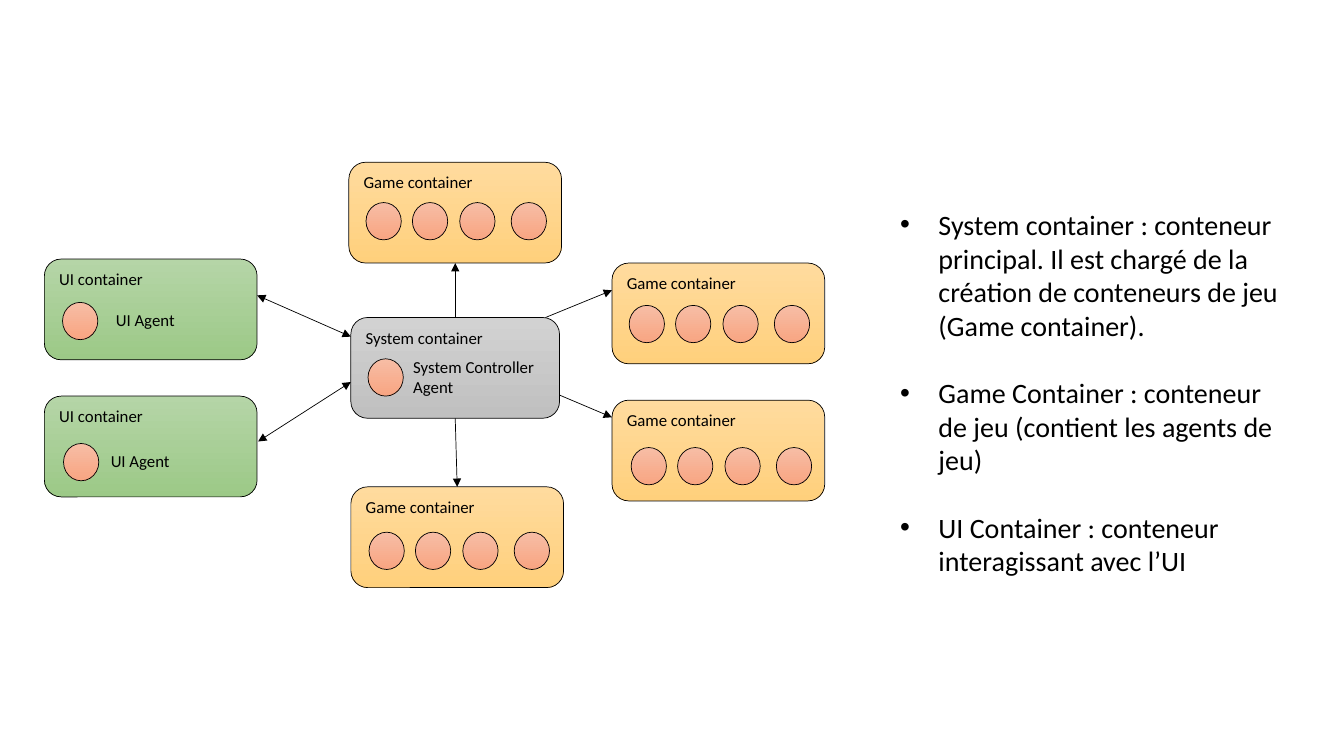
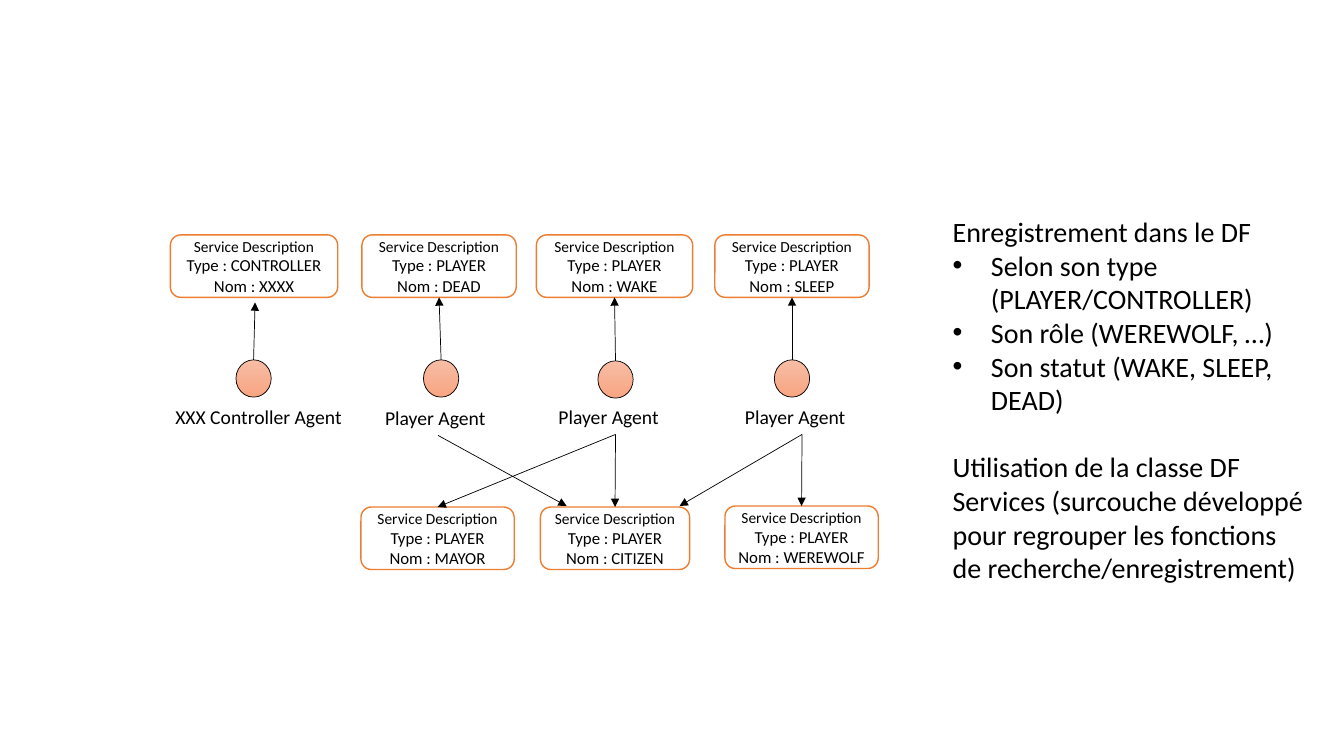
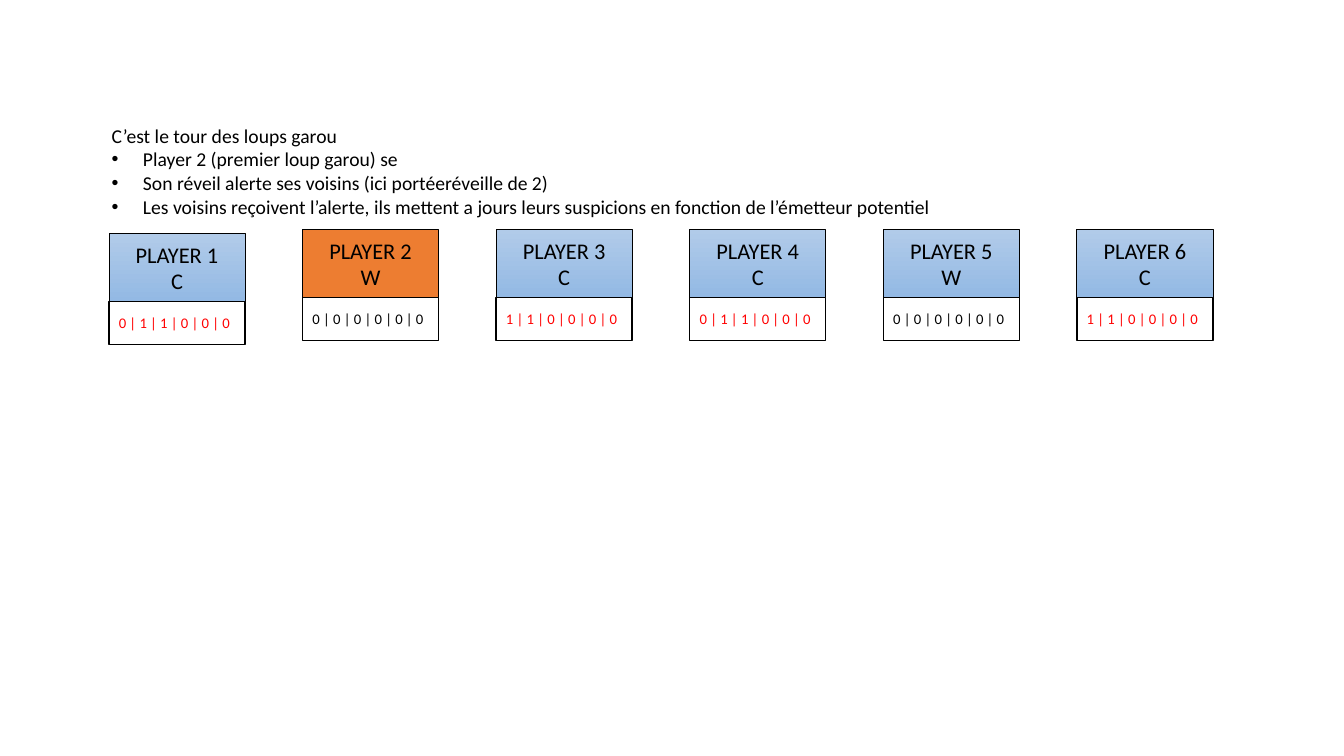
from lxml.etree import SubElement
from pptx import Presentation
from pptx.dml.color import RGBColor
from pptx.enum.shapes import MSO_CONNECTOR as Connector, MSO_SHAPE as Shape
from pptx.enum.text import MSO_ANCHOR as Anchor, PP_ALIGN as Align
from pptx.oxml.ns import qn
from pptx.util import Pt

EMU_PER_PX = 9144  # 100 px to the inch
FONT = "Calibri"
COLOURS = {
    "black": "000000",
    "white": "FFFFFF",
    "red": "FF0000",
    "orange": "ED7D31",
    "agent_top": "F7BDA5", "agent_bottom": "F8A582",
    "game_top": "FFDB9E", "game_bottom": "FFD07C",
    "system_top": "D2D2D2", "system_bottom": "C0C0C0",
    "interface_top": "B5D5A7", "interface_bottom": "9CC987",
    "player_top": "B1CBE9", "player_bottom": "93B9E4",
}
TOP, BOTTOM = 0, 2


def px(length):
    return round(length * EMU_PER_PX)


def colour(name):
    return RGBColor.from_string(COLOURS[name])


class Deck:
    def __init__(self, width, height):
        self.presentation = Presentation()
        self.presentation.slide_width = px(width)
        self.presentation.slide_height = px(height)
        self.slide = None

    def new_slide(self):
        self.slide = self.presentation.slides.add_slide(self.presentation.slide_layouts[6])

    def add_text_run(self, paragraph, text, size, text_colour="black"):
        run = paragraph.add_run()
        run.text = text
        run.font.name = FONT
        run.font.size = Pt(size)
        run.font.color.rgb = colour(text_colour)

    def fill(self, shape, name):
        """Fill with a plain colour, or with the top-to-bottom gradient of that name."""
        if name in COLOURS:
            shape.fill.solid()
            shape.fill.fore_color.rgb = colour(name)
            return
        shape.fill.gradient()
        shape.fill.gradient_angle = 270
        for stop, end in zip(shape.fill.gradient_stops, ("top", "bottom")):
            stop.color.rgb = colour(f"{name}_{end}")

    def box(self, kind, x, y, width, height, fill, lines=(), outline="black", weight=0.5,
            align=Align.LEFT, anchor=Anchor.MIDDLE, text_colour="black"):
        """Draw a preset shape; lines holds (text, size) for each paragraph."""
        shape = self.slide.shapes.add_shape(kind, px(x), px(y), px(width), px(height))
        shape.shadow.inherit = False
        self.fill(shape, fill)
        shape.line.color.rgb = colour(outline)
        shape.line.width = Pt(weight)
        frame = shape.text_frame
        frame.vertical_anchor = anchor
        if align == Align.CENTER:
            frame.margin_left = frame.margin_right = px(4)
        for index, (text, size) in enumerate(lines):
            paragraph = frame.add_paragraph() if index else frame.paragraphs[0]
            paragraph.alignment = align
            self.add_text_run(paragraph, text, size, text_colour)
        return shape

    def container(self, x, y, title, fill, width=211):
        return self.box(Shape.ROUNDED_RECTANGLE, x, y, width, 100, fill, [(title, 12)],
                        anchor=Anchor.TOP)

    def agent(self, x, y):
        return self.box(Shape.OVAL, x, y, 35, 37, "agent")

    def service(self, x, y, width, kind, name):
        lines = [("Service Description", 11), (f"Type : {kind}", 12), (f"Nom : {name}", 12)]
        return self.box(Shape.ROUNDED_RECTANGLE, x, y, width, 62, "white", lines,
                        outline="orange", weight=1, align=Align.CENTER)

    def text(self, x, y, width, height, size, lines, indent=0):
        """Draw a text box; lines holds (text, bulleted, space before in points)."""
        shape = self.slide.shapes.add_textbox(px(x), px(y), px(width), px(height))
        frame = shape.text_frame
        frame.word_wrap = True
        for index, (text, bulleted, gap) in enumerate(lines):
            paragraph = frame.add_paragraph() if index else frame.paragraphs[0]
            paragraph.space_before = Pt(gap)
            self.add_text_run(paragraph, text, size)
            if bulleted:
                properties = paragraph._p.get_or_add_pPr()
                properties.set("marL", str(px(indent)))
                properties.set("indent", str(px(-indent)))
                SubElement(properties, qn("a:buFont")).set("typeface", "Arial")
                SubElement(properties, qn("a:buChar")).set("char", "•")
        return shape

    def label(self, x, y, width, height, size, text):
        return self.text(x, y, width, height, size, [(text, False, 0)])

    def arrow(self, start, end, both_ways=False):
        """Draw an arrow; each end is an (x, y) point or a (shape, side) to join."""
        joins = [not isinstance(point[0], int) for point in (start, end)]
        corners = [0 if joined else px(value)
                   for joined, point in zip(joins, (start, end)) for value in point]
        connector = self.slide.shapes.add_connector(Connector.STRAIGHT, *corners)
        if joins[0]:
            connector.begin_connect(*start)
        if joins[1]:
            connector.end_connect(*end)
        connector.line.color.rgb = colour("black")
        connector.line.width = Pt(0.5)
        properties = connector.element.spPr
        line = properties.find(qn("a:ln"))
        for tag in ("a:headEnd", "a:tailEnd") if both_ways else ("a:tailEnd",):
            SubElement(line, qn(tag)).set("type", "triangle")
        SubElement(properties, qn("a:effectLst"))


def add_containers(deck):
    deck.new_slide()
    system = deck.container(348, 315, "System container", "system", width=207)
    deck.agent(365, 356)
    deck.label(400, 349, 141, 50, 12, "System Controller Agent")

    games = []
    for x, y, agent_x, agent_y in ((346, 161, 363, 201), (607, 261, 624, 303),
                                   (607, 397, 626, 444), (348, 483, 366, 528)):
        games.append(deck.container(x, y, "Game container", "game"))
        for offset in (0, 46, 93, 144):
            deck.agent(agent_x + offset, agent_y)

    for y, agent_x, agent_y, label_x in ((257, 62, 300, 105), (393, 63, 440, 100)):
        deck.container(44, y, "UI container", "interface")
        deck.agent(agent_x, agent_y)
        deck.label(label_x, agent_y + 2, 141, 30, 12, "UI Agent")

    deck.arrow((system, TOP), (games[0], BOTTOM))
    deck.arrow((541, 315), (607, 288))
    deck.arrow((555, 392), (607, 414))
    deck.arrow((system, BOTTOM), (games[3], TOP))
    deck.arrow((348, 334), (255, 293), both_ways=True)
    deck.arrow((348, 379), (256, 438), both_ways=True)

    deck.text(883, 201, 406, 380, 20, [
        ("System container : conteneur principal. Il est chargé de la création de "
         "conteneurs de jeu (Game container).", True, 0),
        ("Game Container : conteneur de jeu (contient les agents de jeu)", True, 24),
        ("UI Container : conteneur interagissant avec l’UI", True, 24),
    ], indent=38)


def add_services(deck):
    deck.new_slide()
    controller = deck.agent(234, 357)
    deck.label(164, 397, 196, 34, 14, "XXX Controller Agent")
    deck.service(169, 233, 166, "CONTROLLER", "XXXX")
    deck.arrow((controller, TOP), (253, 300))

    labels = []
    for agent_x, agent_y, label_x, label_y, label_width, x, width, status in (
            (420, 357, 372, 398, 125, 359, 153, "DEAD"),
            (593, 358, 544, 397, 133, 532, 155, "WAKE"),
            (768, 357, 729, 397, 133, 709, 153, "SLEEP")):
        player = deck.agent(agent_x, agent_y)
        labels.append(deck.label(label_x, label_y, label_width, 34, 14, "Player Agent"))
        status_box = deck.service(x, 233, width, "PLAYER", status)
        deck.arrow((player, TOP), (status_box, BOTTOM))

    mayor, citizen, werewolf = (
        deck.service(x, y, width, "PLAYER", role)
        for x, y, width, role in ((358, 503, 152, "MAYOR"), (536, 503, 148, "CITIZEN"),
                                  (719, 502, 152, "WEREWOLF")))
    dead, awake, asleep = ((label, BOTTOM) for label in labels)
    for start, end in ((dead, (562, 502)), (awake, (mayor, TOP)), (awake, (citizen, TOP)),
                       (asleep, (674, 502)), (asleep, (werewolf, TOP))):
        deck.arrow(start, end)

    deck.text(935, 208, 374, 380, 20, [
        ("Enregistrement dans le DF", False, 0),
        ("Selon son type (PLAYER/CONTROLLER)", True, 0),
        ("Son rôle (WEREWOLF, …)", True, 0),
        ("Son statut (WAKE, SLEEP, DEAD)", True, 0),
        ("Utilisation de la classe DF Services (surcouche développé pour regrouper les "
         "fonctions de recherche/enregistrement)", False, 24),
    ], indent=38)


def add_werewolf_turn(deck):
    deck.new_slide()
    players = (("C", "player", "0 | 1 | 1 | 0 | 0 | 0", "red"),
               ("W", "orange", "0 | 0 | 0 | 0 | 0 | 0", "black"),
               ("C", "player", "1 | 1 | 0 | 0 | 0 | 0", "red"),
               ("C", "player", "0 | 1 | 1 | 0 | 0 | 0", "red"),
               ("W", "player", "0 | 0 | 0 | 0 | 0 | 0", "black"),
               ("C", "player", "1 | 1 | 0 | 0 | 0 | 0", "red"))
    for index, (role, fill, suspicions, text_colour) in enumerate(players):
        x = 108 + 192 * index
        y = 228 if index else 232
        deck.box(Shape.RECTANGLE, x, y, 135, 67, fill,
                 [(f"PLAYER {index + 1}", 16), (role, 16)], align=Align.CENTER)
        deck.box(Shape.RECTANGLE, x, y + 67, 135, 43, "white", [(suspicions, 10.5)],
                 weight=1, text_colour=text_colour)

    deck.text(101, 118, 957, 104, 14, [
        ("C’est le tour des loups garou", False, 0),
        ("Player 2 (premier loup garou) se", True, 0),
        ("Son réveil alerte ses voisins (ici portéeréveille de 2)", True, 0),
        ("Les voisins reçoivent l’alerte, ils mettent a jours leurs suspicions en fonction "
         "de l’émetteur potentiel", True, 0),
    ], indent=31)


def main():
    deck = Deck(1333, 750)
    add_containers(deck)
    add_services(deck)
    add_werewolf_turn(deck)
    deck.presentation.save("out.pptx")


if __name__ == "__main__":
    main()
